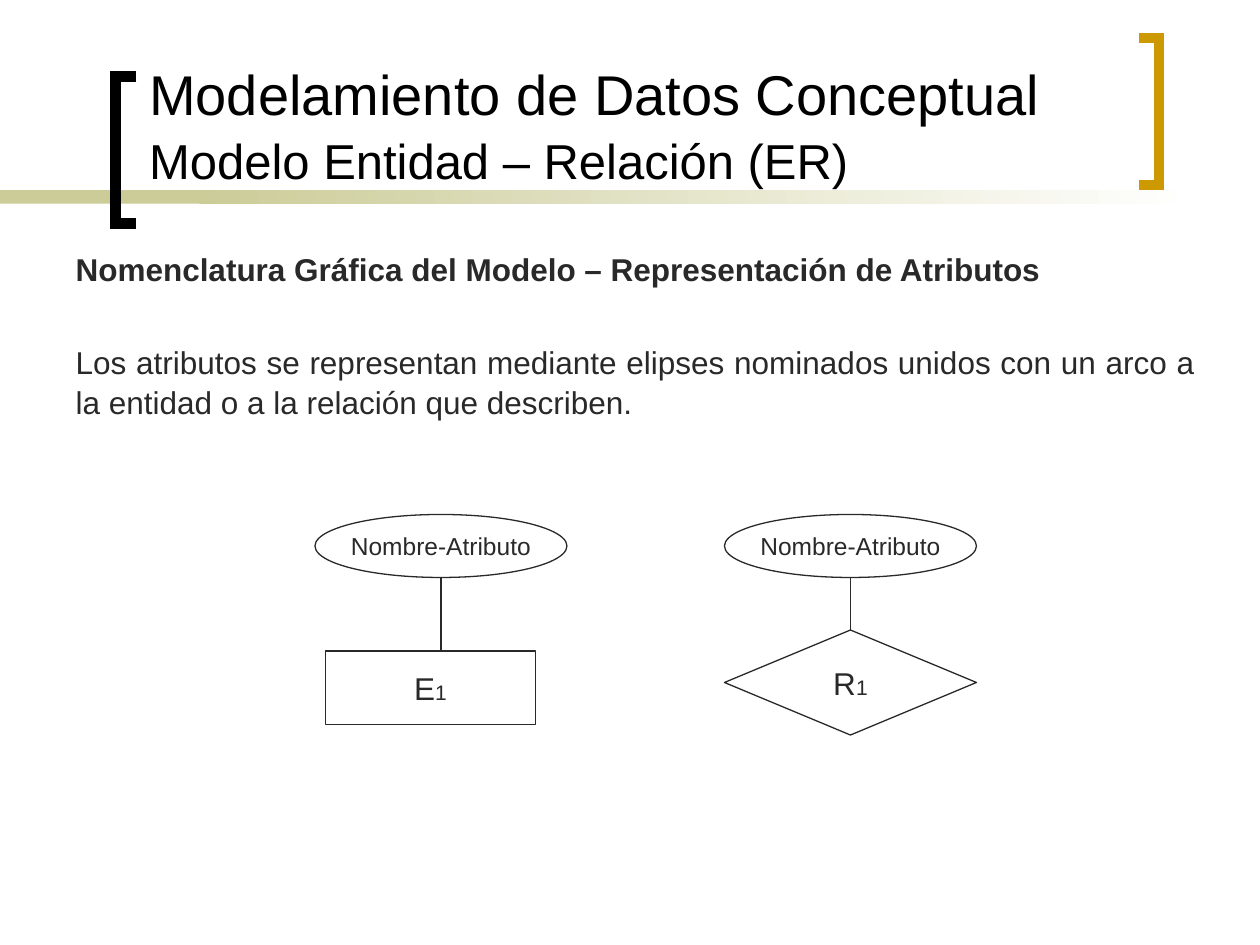
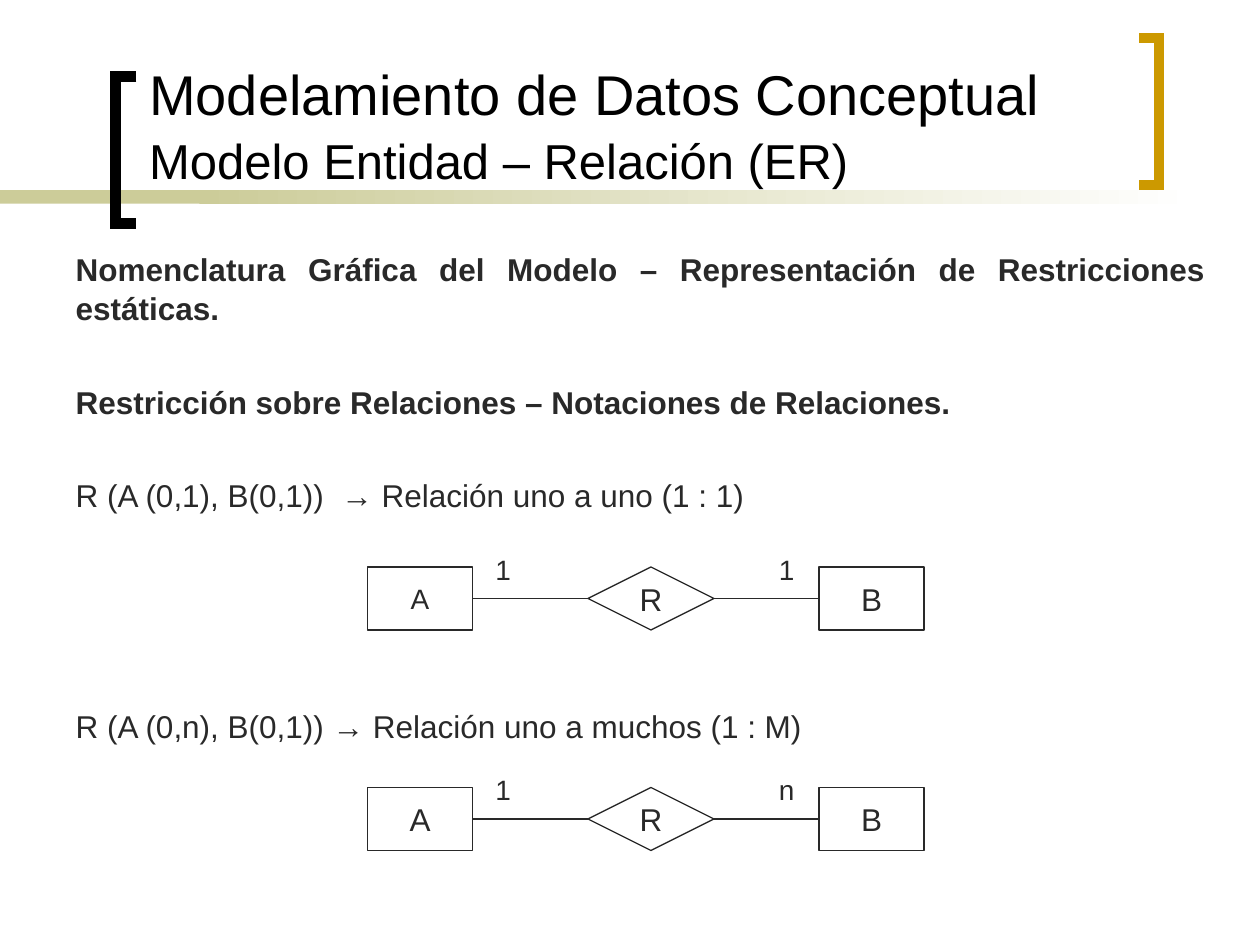
from dataclasses import dataclass

import pptx
import pptx.dml.color
import pptx.enum.dml
import pptx.enum.shapes
import pptx.enum.text
import pptx.oxml
import pptx.oxml.ns
import pptx.util

# Scale: 120 px to the inch
PX = 7620
SLIDE_SIZE = (1200, 900)

BLACK = pptx.dml.color.RGBColor(0x00, 0x00, 0x00)
WHITE = pptx.dml.color.RGBColor(0xFF, 0xFF, 0xFF)
INK = pptx.dml.color.RGBColor(0x29, 0x29, 0x29)
OLIVE = pptx.dml.color.RGBColor(0xCC, 0xCC, 0x99)
GOLD = pptx.dml.color.RGBColor(0xCC, 0x99, 0x00)

FONT = "Arial"
LINE_SPACING = 1.05
SPACE_BEFORE = 4.5
ROW_PITCH = 26.2  # points from one body line to the next paragraph

RECTANGLE = pptx.enum.shapes.MSO_SHAPE.RECTANGLE
ELLIPSE = pptx.enum.shapes.MSO_SHAPE.OVAL
DIAMOND = pptx.enum.shapes.MSO_SHAPE.FLOWCHART_DECISION
ALIGN = pptx.enum.text.PP_ALIGN
ANCHOR = pptx.enum.text.MSO_ANCHOR


@dataclass(frozen=True)
class Node:
    """A symbol of the entity-relationship diagram."""
    kind: int
    left: int
    top: int
    width: int
    height: int
    text: str
    size: int = 18
    index: str = ""


@dataclass(frozen=True)
class BodyLine:
    text: str
    bold: bool = False
    rows_skipped: int = 0


@dataclass(frozen=True)
class RelationRow:
    top: int
    right_label: str
    left_size: int


ATTRIBUTE_PAIRS = [
    (Node(ELLIPSE, 300, 490, 240, 60, "Nombre-Atributo", 14),
     Node(RECTANGLE, 310, 620, 200, 70, "E", index="1")),
    (Node(ELLIPSE, 690, 490, 240, 60, "Nombre-Atributo", 14),
     Node(DIAMOND, 690, 600, 240, 100, "R", index="1")),
]
RELATION_ROWS = [RelationRow(540, "1", 16), RelationRow(750, "n", 18)]

ATTRIBUTE_TEXT = [
    BodyLine("Nomenclatura Gráfica del Modelo – Representación de Atributos", True),
    BodyLine("Los atributos se representan mediante elipses nominados unidos con un "
             "arco a la entidad o a la relación que describen.", rows_skipped=1),
]
RELATION_TEXT = [
    BodyLine("Nomenclatura Gráfica del Modelo – Representación de Restricciones "
             "estáticas.", True),
    BodyLine("Restricción sobre Relaciones – Notaciones de Relaciones.", True, 1),
    BodyLine("R (A (0,1), B(0,1))  → Relación uno a uno (1 : 1)", rows_skipped=1),
    BodyLine("R (A (0,n), B(0,1)) → Relación uno a muchos (1 : M)", rows_skipped=4),
]


def emu(*lengths: int) -> list[int]:
    return [length * PX for length in lengths]


def place(shape, left: int, top: int, width: int, height: int) -> None:
    shape.left, shape.top, shape.width, shape.height = emu(left, top, width, height)


def write(para, text: str, *, size: int = 18, color=INK, bold: bool = False) -> None:
    span = para.add_run()
    span.text = text
    span.font.name = FONT
    span.font.size = pptx.util.Pt(size)
    span.font.bold = bold
    span.font.color.rgb = color


# Parts shared by the slides
def add_band(shapes, left: int, width: int, fade: bool):
    band = shapes.add_shape(RECTANGLE, *emu(left, 181, width, 13))
    band.shadow.inherit = False
    band.line.fill.background()
    if fade:
        band.fill.gradient()
        band.fill.gradient_angle = 0
        for stop, color, position in zip(band.fill.gradient_stops, (OLIVE, WHITE), (0, 1)):
            stop.color.rgb = color
            stop.position = position
    else:
        band.fill.solid()
        band.fill.fore_color.rgb = OLIVE
    return band


def add_bracket(shapes, spine: int, tip: int, top: int, color):
    bottom = top + 140
    builder = shapes.build_freeform(tip, top, scale=PX)
    builder.add_line_segments([(spine, top), (spine, bottom), (tip, bottom)], close=False)
    bracket = builder.convert_to_shape()
    bracket.shadow.inherit = False
    bracket.fill.background()
    bracket.line.color.rgb = color
    bracket.line.width = pptx.util.Pt(6)
    miter = pptx.oxml.parse_xml(
        f'<a:miter {pptx.oxml.ns.nsdecls("a")} lim="800000"/>')
    bracket.line.fill  # the line properties exist from here on
    bracket.element.spPr.find(pptx.oxml.ns.qn("a:ln")).append(miter)
    return bracket


def decorate_layout(layout, page) -> None:
    """Draw the bands and brackets on a page and move them to its layout."""
    decorations = [
        add_band(page.shapes, 0, 280, fade=False),
        add_band(page.shapes, 190, 950, fade=True),
        add_bracket(page.shapes, 110, 130, 73, BLACK),
        add_bracket(page.shapes, 1104, 1085, 36, GOLD),
    ]
    for shape in decorations:
        layout.shapes.element.append(shape.element)


def fill_title(page) -> None:
    title = page.shapes.title
    place(title, 130, 0, 960, 186)
    frame = title.text_frame
    frame.vertical_anchor = ANCHOR.BOTTOM
    frame.auto_size = pptx.enum.text.MSO_AUTO_SIZE.NONE
    para = frame.paragraphs[0]
    para.alignment = ALIGN.LEFT
    para.line_spacing = LINE_SPACING
    write(para, "Modelamiento de Datos Conceptual", size=32, color=BLACK)
    para.add_line_break()
    write(para, "Modelo Entidad – Relación (ER)", size=28, color=BLACK)


def fill_body(page, lines: list[BodyLine], width: int, height: int) -> None:
    body = page.placeholders[1]
    place(body, 60, 230, width, height)
    frame = body.text_frame
    frame.auto_size = pptx.enum.text.MSO_AUTO_SIZE.NONE
    for number, line in enumerate(lines):
        para = frame.add_paragraph() if number else frame.paragraphs[0]
        para.alignment = ALIGN.JUSTIFY
        para.line_spacing = LINE_SPACING
        para.space_before = pptx.util.Pt(SPACE_BEFORE + line.rows_skipped * ROW_PITCH)
        properties = para._p.get_or_add_pPr()
        properties.set("marL", "0")
        properties.set("indent", "0")
        properties.append(pptx.oxml.parse_xml(
            f'<a:buNone {pptx.oxml.ns.nsdecls("a")}/>'))
        write(para, line.text, bold=line.bold)


# Diagram parts
def add_node(shapes, node: Node) -> None:
    shape = shapes.add_shape(
        node.kind, *emu(node.left, node.top, node.width, node.height))
    shape.shadow.inherit = False
    shape.fill.background()
    shape.line.color.rgb = INK
    shape.line.width = pptx.util.Pt(0.75)
    frame = shape.text_frame
    frame.word_wrap = False
    frame.vertical_anchor = ANCHOR.MIDDLE
    para = frame.paragraphs[0]
    para.alignment = ALIGN.CENTER
    write(para, node.text, size=node.size)
    if node.index:
        write(para, node.index, size=12)


def add_link(shapes, start: tuple[int, int], end: tuple[int, int]) -> None:
    link = shapes.add_connector(
        pptx.enum.shapes.MSO_CONNECTOR.STRAIGHT, *emu(*start, *end))
    link.line.color.rgb = INK
    link.line.width = pptx.util.Pt(0.75)
    link.element.spPr.append(pptx.oxml.parse_xml(
        f'<a:effectLst {pptx.oxml.ns.nsdecls("a")}/>'))


def add_label(shapes, text: str, left: int, top: int) -> None:
    box = shapes.add_textbox(*emu(left, top, 40, 44))
    box.text_frame.word_wrap = True
    write(box.text_frame.paragraphs[0], text, size=16)


def add_relation(page, row: RelationRow) -> None:
    shapes = page.shapes.add_group_shape().shapes
    left = Node(RECTANGLE, 350, row.top, 100, 60, "A", row.left_size)
    right = Node(RECTANGLE, 780, row.top, 100, 60, "B")
    relation = Node(DIAMOND, 560, row.top, 120, 60, "R")
    for node in (left, right, relation):
        add_node(shapes, node)
    middle = row.top + 30
    for first, second in ((left, relation), (relation, right)):
        add_link(shapes, (first.left + first.width, middle), (second.left, middle))
    add_label(shapes, "1", 460, row.top - 20)
    add_label(shapes, row.right_label, 730, row.top - 20)


def main() -> None:
    deck = pptx.Presentation()
    deck.slide_width, deck.slide_height = emu(*SLIDE_SIZE)
    layout = deck.slide_layouts[1]

    # Slide 1: attributes
    page = deck.slides.add_slide(layout)
    decorate_layout(layout, page)
    fill_title(page)
    fill_body(page, ATTRIBUTE_TEXT, 1090, 180)
    for attribute, owner in ATTRIBUTE_PAIRS:
        add_node(page.shapes, owner)
        add_node(page.shapes, attribute)
        center = attribute.left + attribute.width // 2
        add_link(page.shapes, (center, attribute.top + attribute.height),
                 (center, owner.top))

    # Slide 2: relations
    page = deck.slides.add_slide(layout)
    fill_title(page)
    fill_body(page, RELATION_TEXT, 1100, 480)
    for row in RELATION_ROWS:
        add_relation(page, row)

    deck.save("out.pptx")


if __name__ == "__main__":
    main()
